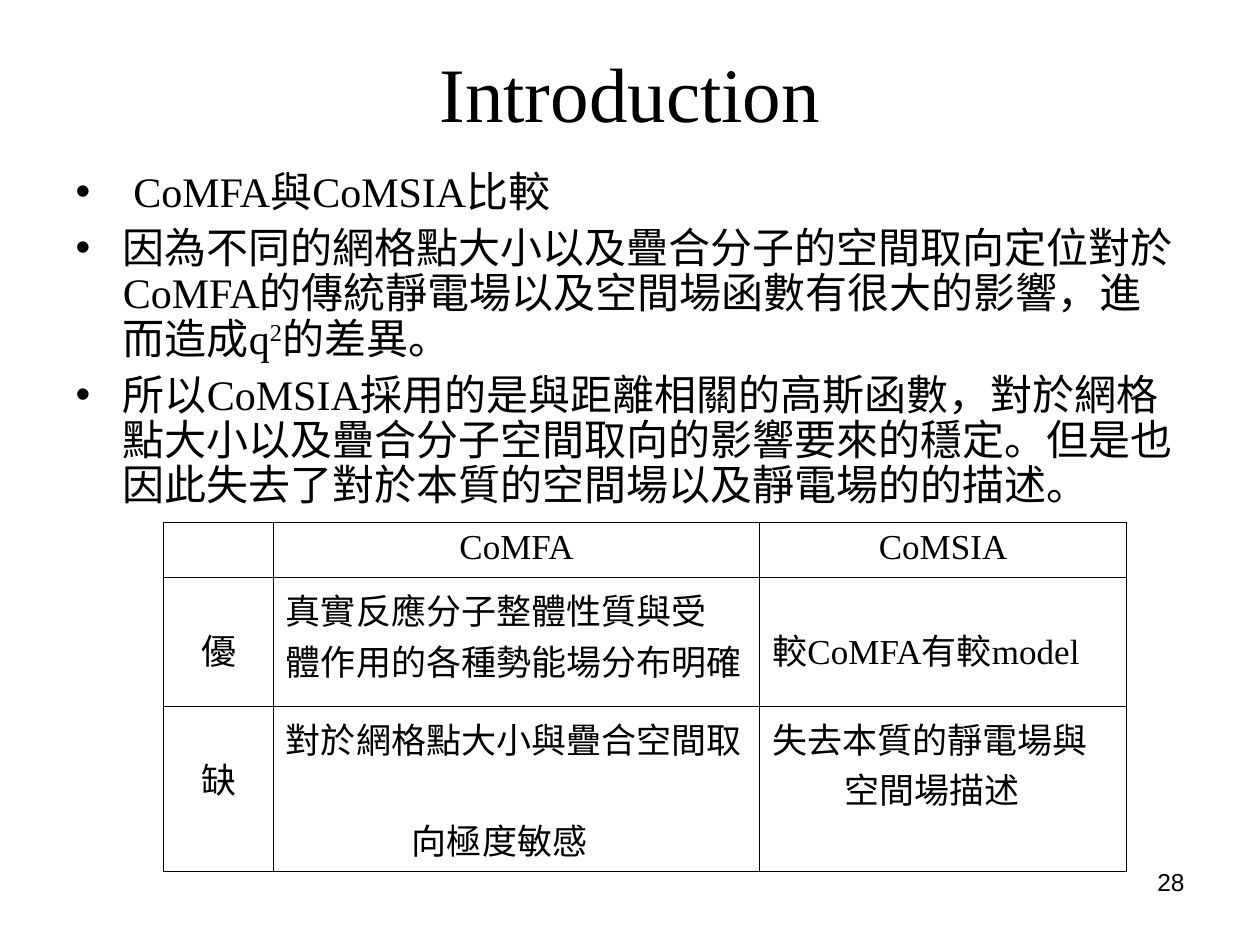
from dataclasses import dataclass

from lxml import etree
from pptx import Presentation
from pptx.dml.color import RGBColor
from pptx.enum.text import MSO_ANCHOR, MSO_AUTO_SIZE, PP_ALIGN
from pptx.oxml.ns import qn
from pptx.util import Pt

CENTER, LEFT, RIGHT = PP_ALIGN.CENTER, PP_ALIGN.LEFT, PP_ALIGN.RIGHT
TOP, MIDDLE = MSO_ANCHOR.TOP, MSO_ANCHOR.MIDDLE
NO_AUTOFIT = MSO_AUTO_SIZE.NONE
COLORS = {"ink": "000000"}
SERIF, SANS = "Times New Roman", "Arial"
BORDER_WIDTH = 0.45
CELL_MARGIN = 3.6
COLUMN_WIDTHS = (62.6, 278, 209.5)
ROW_HEIGHTS = (31.7, 73.4, 94.3)

# Each bullet is a list of (text, is superscript) parts.
BULLETS = [
    [(" CoMFA與CoMSIA比較", False)],
    [("因為不同的網格點大小以及疊合分子的空間取向定位對於CoMFA的傳統靜電場以及空間場函數有很大的影響，進而造成q", False),
     ("2", True), ("的差異。", False)],
    [("所以CoMSIA採用的是與距離相關的高斯函數，對於網格點大小以及疊合分子空間取向的影響要來的穩定。"
      "但是也因此失去了對於本質的空間場以及靜電場的的描述。", False)],
]


@dataclass
class Entry:
    """Cell content; drop lowers the text, the rest shapes its second line."""
    lines: tuple[str, ...] = ()
    align: int = LEFT
    drop: float = 0
    second_indent: float = 0
    second_gap: float = 0


COMPARISON = [
    [Entry(), Entry(("CoMFA",), CENTER), Entry(("CoMSIA",), CENTER)],
    [Entry(("優",), CENTER, drop=23),
     Entry(("真實反應分子整體性質與受", "體作用的各種勢能場分布明確")),
     Entry(("較CoMFA有較model",), drop=23)],
    [Entry(("缺",), CENTER, drop=23),
     Entry(("對於網格點大小與疊合空間取", "向極度敏感"), second_indent=72, second_gap=29),
     Entry(("失去本質的靜電場與", "空間場描述"), second_indent=41)],
]


def place(shape, left: float, top: float, width: float, height: float) -> None:
    shape.left, shape.top = Pt(left), Pt(top)
    shape.width, shape.height = Pt(width), Pt(height)


def format_runs(paragraph, size: float, font: str = SERIF) -> None:
    for run in paragraph.runs:
        run.font.size = Pt(size)
        run.font.name = font
        run.font.color.rgb = RGBColor.from_string(COLORS["ink"])


def set_indent(paragraph, left: float, first: float = 0) -> None:
    properties = paragraph._p.get_or_add_pPr()
    properties.set("marL", str(Pt(left)))
    properties.set("indent", str(Pt(first)))


def add_bullets(frame) -> None:
    for index, parts in enumerate(BULLETS):
        paragraph = frame.paragraphs[0] if index == 0 else frame.add_paragraph()
        set_indent(paragraph, 27, -27)
        paragraph.line_spacing = 0.9
        paragraph.space_before = Pt(6 if index else 0)
        bullet = etree.SubElement(paragraph._p.get_or_add_pPr(), qn("a:buChar"))
        bullet.set("char", "•")
        for text, is_superscript in parts:
            run = paragraph.add_run()
            run.text = text
            if is_superscript:
                run._r.get_or_add_rPr().set("baseline", "30000")
        format_runs(paragraph, 24)


def add_borders(cell) -> None:
    properties = cell._tc.get_or_add_tcPr()
    for position, side in enumerate(("a:lnL", "a:lnR", "a:lnT", "a:lnB")):
        line = etree.Element(qn(side), w=str(Pt(BORDER_WIDTH)))
        fill = etree.SubElement(line, qn("a:solidFill"))
        etree.SubElement(fill, qn("a:srgbClr"), val=COLORS["ink"])
        properties.insert(position, line)


def fill_cell(cell, entry: Entry) -> None:
    cell.fill.background()
    add_borders(cell)
    cell.vertical_anchor = TOP
    cell.margin_top = Pt(CELL_MARGIN + entry.drop)
    cell.margin_bottom = Pt(CELL_MARGIN)
    cell.text_frame.text = "\n".join(entry.lines)
    for index, paragraph in enumerate(cell.text_frame.paragraphs):
        paragraph.alignment = entry.align
        if index:
            set_indent(paragraph, entry.second_indent)
            paragraph.space_before = Pt(entry.second_gap)
        format_runs(paragraph, 20)


def add_comparison(slide) -> None:
    frame = slide.shapes.add_table(
        len(ROW_HEIGHTS), len(COLUMN_WIDTHS), Pt(93.6), Pt(298.4),
        Pt(sum(COLUMN_WIDTHS)), Pt(sum(ROW_HEIGHTS)))
    table = frame.table
    table.first_row = table.horz_banding = False
    for column, width in zip(table.columns, COLUMN_WIDTHS):
        column.width = Pt(width)
    for row, height, entries in zip(table.rows, ROW_HEIGHTS, COMPARISON):
        row.height = Pt(height)
        for cell, entry in zip(row.cells, entries):
            fill_cell(cell, entry)


def add_page_number(slide) -> None:
    box = slide.shapes.add_textbox(Pt(516.2), Pt(491.8), Pt(167.8), Pt(37.4))
    box.text_frame.word_wrap = True
    box.text_frame.text = "28"
    number = box.text_frame.paragraphs[0]
    number.alignment = RIGHT
    format_runs(number, 14, SANS)


def main() -> None:
    deck = Presentation()
    deck.slide_width, deck.slide_height = Pt(720), Pt(540)
    slide = deck.slides.add_slide(deck.slide_layouts[1])

    title = slide.shapes.title
    place(title, 36, 21.6, 648, 61.2)
    title.text_frame.text = "Introduction"
    title.text_frame.auto_size = NO_AUTOFIT
    title.text_frame.vertical_anchor = MIDDLE
    title.text_frame.paragraphs[0].alignment = CENTER
    format_runs(title.text_frame.paragraphs[0], 44)

    body = slide.placeholders[1]
    place(body, 36, 94.3, 647.3, 388)
    body.text_frame.auto_size = NO_AUTOFIT
    add_bullets(body.text_frame)

    add_comparison(slide)
    add_page_number(slide)
    deck.save("out.pptx")


if __name__ == "__main__":
    main()
